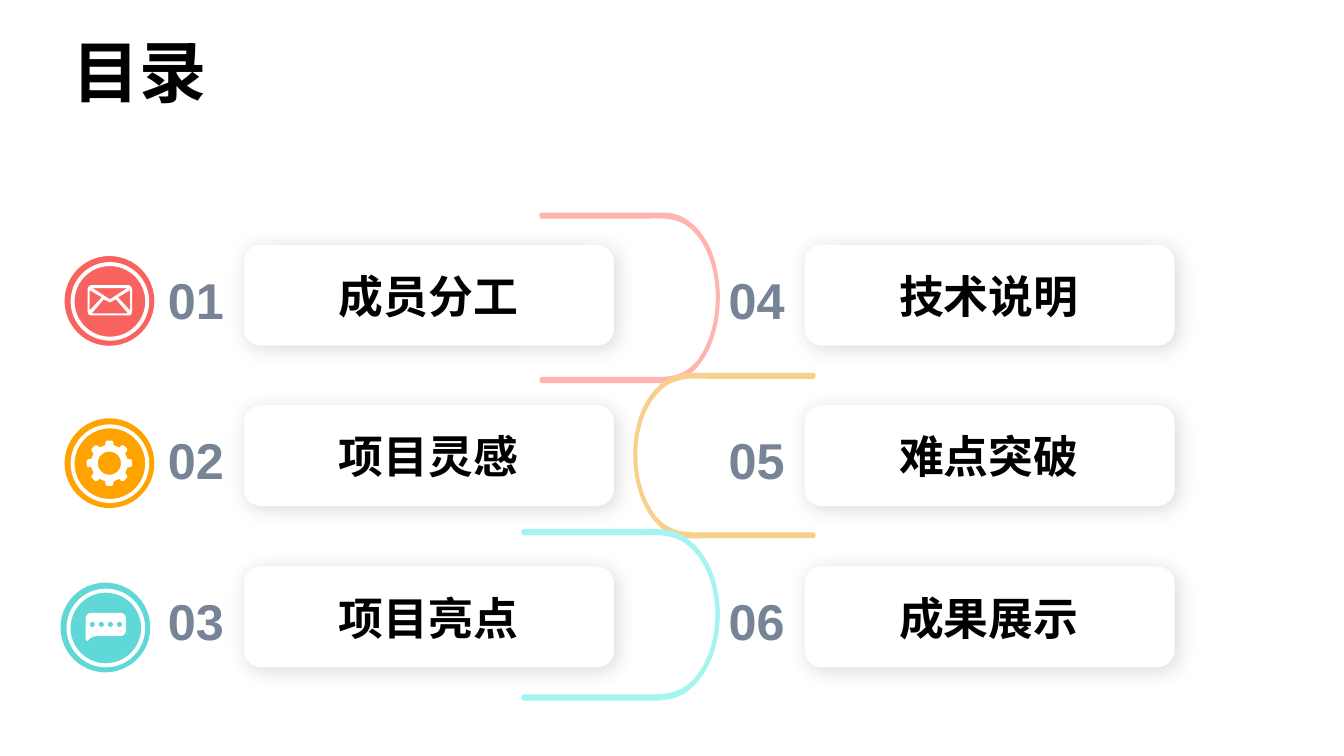
from math import cos, pi, sin

from lxml import etree
from pptx import Presentation
from pptx import util as u
from pptx.dml.color import RGBColor
from pptx.enum import shapes, text
from pptx.oxml import ns

PX = 9144  # EMU per px: 100 px to the inch

# Outlines: a start point, then 2 numbers for a line or 6 for a Bezier curve.
BAND_SIZE = (179, 169)
BAND = [(2, 6), (103, 6), (119, 6, 135, 3, 150, 16), (181, 43, 183, 111, 157, 146),
        (145, 161, 132, 163, 117, 163), (2, 163), (1, 163, 0, 165, 0, 166),
        (0, 167, 1, 169, 2, 169), (103, 169), (118, 169, 133, 171, 147, 162),
        (173, 144, 185, 97, 176, 56), (169, 22, 147, 0, 125, 0), (2, 0),
        (1, 0, 0, 1, 0, 3), (0, 4, 1, 6, 2, 6)]
ENVELOPE = [
    [(63, 29), (27, 29), (25, 29, 23, 31, 23, 33), (23, 55), (23, 58, 25, 59, 27, 59),
     (63, 59), (65, 59, 67, 58, 67, 55), (67, 33), (67, 31, 65, 29, 63, 29)],
    [(37, 41), (25, 54), (25, 34)],
    [(39, 43), (45, 46), (51, 43), (63, 57), (27, 57)],
    [(45, 43), (28, 32), (62, 32)],
    [(53, 41), (65, 34), (65, 54)],
]
BUBBLE = [(59, 30), (31, 30), (27, 30, 25, 33, 25, 36), (25, 54), (25, 57, 26, 59, 28, 57),
          (29, 55, 33, 53, 37, 53), (59, 53), (63, 53, 65, 50, 65, 47), (65, 36),
          (65, 33, 63, 30, 59, 30)]


def rgb(hex_color):
    return RGBColor.from_string(hex_color)


def flatten(outline, steps=16):
    """Turn an outline with Bezier curves into a list of points."""
    points = [outline[0]]
    for segment in outline[1:]:
        if len(segment) == 2:
            points.append(segment)
            continue
        x0, y0 = points[-1]
        x1, y1, x2, y2, x3, y3 = segment
        for step in range(1, steps + 1):
            t = step / steps
            a, b, c, d = (1 - t) ** 3, 3 * t * (1 - t) ** 2, 3 * t * t * (1 - t), t ** 3
            points.append((a * x0 + b * x1 + c * x2 + d * x3,
                           a * y0 + b * y1 + c * y2 + d * y3))
    return points


def gear_contours(center=44.5, teeth=8, hole=11.5):
    tooth = [(18, -4), (21, -4), (22.5, -2.5), (22.5, 2.5), (21, 4), (18, 4)]
    rim = []
    for index in range(teeth):
        turn = 2 * pi * index / teeth
        rim += [(center + x * cos(turn) - y * sin(turn),
                 center + x * sin(turn) + y * cos(turn)) for x, y in tooth]
    bore = [(center + hole * cos(pi * k / 24), center + hole * sin(pi * k / 24))
            for k in range(48)]
    return [rim, bore]


class ContentsSlide:
    font = "Arial"
    ink, number_color, white = "000000", "778495", "FFFFFF"

    def __init__(self, presentation):
        self.slide = presentation.slides.add_slide(presentation.slide_layouts[6])

    def paint(self, shape, color):
        shape.shadow.inherit = False
        shape.fill.solid()
        shape.fill.fore_color.rgb = rgb(color)
        shape.line.fill.background()
        return shape

    def preset(self, kind, left, top, width, height, color):
        shape = self.slide.shapes.add_shape(kind, left * PX, top * PX, width * PX, height * PX)
        return self.paint(shape, color)

    def outline(self, contours, color, left, top, x_scale=1, y_scale=1):
        """Fill closed contours as one shape; inner contours become holes."""
        placed = [[((left + x * x_scale) * PX, (top + y * y_scale) * PX) for x, y in contour]
                  for contour in contours]
        builder = self.slide.shapes.build_freeform(*placed[0][0], scale=1.0)
        builder.add_line_segments(placed[0][1:], close=True)
        for contour in placed[1:]:
            builder.move_to(*contour[0])
            builder.add_line_segments(contour[1:], close=True)
        return self.paint(builder.convert_to_shape(), color)

    def words(self, content, left, top, width, height, size, color=ink, wrap=False,
              anchor=text.MSO_ANCHOR.TOP, align=text.PP_ALIGN.LEFT, inset_left=10):
        box = self.slide.shapes.add_textbox(left * PX, top * PX, width * PX, height * PX)
        frame = box.text_frame
        frame.word_wrap = wrap
        frame.auto_size = text.MSO_AUTO_SIZE.SHAPE_TO_FIT_TEXT
        frame.vertical_anchor = anchor
        frame.margin_left = inset_left * PX
        paragraph = frame.paragraphs[0]
        paragraph.text = content
        paragraph.alignment = align
        font = paragraph.font
        font.name, font.size, font.bold = self.font, u.Pt(size), True
        font.color.rgb = rgb(color)

    def card(self, number, topic, left, top):
        panel = self.preset(shapes.MSO_SHAPE.ROUNDED_RECTANGLE, left, top, 367, 100, self.white)
        panel.adjustments[0] = 0.167
        effects = panel._element.spPr.find(ns.qn("a:effectLst"))
        shadow = etree.SubElement(effects, ns.qn("a:outerShdw"), blurRad=str(u.Pt(15)),
                                  dist=str(u.Pt(3)), dir="2700000", algn="tl", rotWithShape="0")
        tint = etree.SubElement(shadow, ns.qn("a:srgbClr"), val="000000")
        etree.SubElement(tint, ns.qn("a:alpha"), val="15000")
        self.words(number, left - 114, top + 18, 104, 71, 36, self.number_color, wrap=True,
                   anchor=text.MSO_ANCHOR.MIDDLE, align=text.PP_ALIGN.RIGHT)
        self.words(topic, left + 84, top + 18, 200, 64, 32, anchor=text.MSO_ANCHOR.BOTTOM)

    def badge(self, left, top, color, icon):
        self.preset(shapes.MSO_SHAPE.OVAL, left, top, 89, 89, color)
        ring = self.preset(shapes.MSO_SHAPE.DONUT, left + 6, top + 6, 78, 78, self.white)
        ring.adjustments[0] = 0.05
        self.outline(icon, self.white, left, top)

    def band(self, left, top, width, height, color, mirrored=False):
        x_scale, y_scale = width / BAND_SIZE[0], height / BAND_SIZE[1]
        if mirrored:
            left, x_scale = left + width, -x_scale
        self.outline([flatten(BAND)], color, left, top, x_scale, y_scale)


def main():
    presentation = Presentation()
    presentation.slide_width, presentation.slide_height = 1333 * PX, 750 * PX
    contents = ContentsSlide(presentation)
    contents.words("目录", 72, 25, 145, 91, 48, inset_left=0)

    topics = ["成员分工", "项目灵感", "项目亮点", "技术说明", "难点突破", "成果展示"]
    card_tops = [243, 402, 562]
    for index, topic in enumerate(topics):
        column, row = divmod(index, 3)
        contents.card(f"{index + 1:02}", topic, 242 + 556 * column, card_tops[row])

    contents.badge(64, 254, "F9635F", [flatten(part) for part in ENVELOPE])
    contents.band(535, 211, 179, 169, "FFB4B0")
    contents.band(628, 370, 181, 164, "F9CF8C", mirrored=True)
    contents.badge(64, 415, "FFA300", gear_contours())
    contents.band(517, 525, 197, 170, "A4F4F2")
    contents.badge(60, 578, "60D8D7", [flatten(BUBBLE)])
    for dot in range(4):
        contents.preset(shapes.MSO_SHAPE.OVAL, 89 + 9 * dot, 617, 5, 5, "60D8D7")

    presentation.save("out.pptx")


if __name__ == "__main__":
    main()
